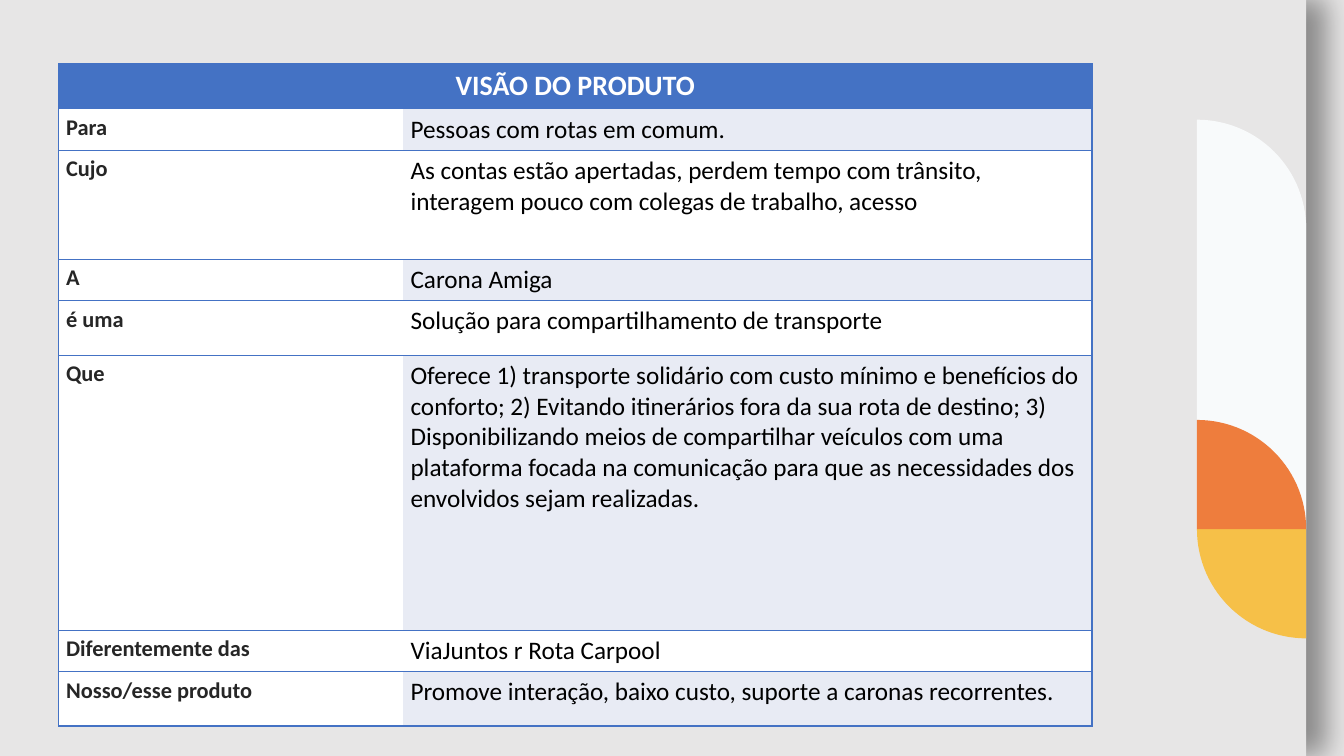
from math import cos, radians, sin

from lxml.etree import SubElement
from pptx import Presentation
from pptx.dml.color import RGBColor
from pptx.enum.shapes import MSO_SHAPE
from pptx.enum.text import PP_ALIGN
from pptx.oxml.ns import qn
from pptx.util import Pt

PX = 9525
FONT = "Calibri"
COLORS = {
    "background": "E7E6E6",
    "blue": "4472C4",
    "band": "E8EBF4",
    "white": "FFFFFF",
    "label": "262626",
    "black": "000000",
    "pale": "F8FAFB",
    "orange": "EE7D3D",
    "yellow": "F6C048",
}

HEADER = "VISÃO DO PRODUTO"
ROWS = [
    (39, "Para", "Pessoas com rotas em comum."),
    (104, "Cujo", "As contas estão apertadas, perdem tempo com trânsito, "
                  "interagem pouco com colegas de trabalho, acesso"),
    (39, "A", "Carona Amiga"),
    (52, "é uma", "Solução para compartilhamento de transporte"),
    (262, "Que", "Oferece 1) transporte solidário com custo mínimo e benefícios do "
                 "conforto; 2) Evitando itinerários fora da sua rota de destino; "
                 "3) Disponibilizando meios de compartilhar veículos com uma "
                 "plataforma focada na comunicação para que as necessidades dos "
                 "envolvidos sejam realizadas."),
    (39, "Diferentemente das", "ViaJuntos r Rota Carpool"),
    (52, "Nosso/esse produto", "Promove interação, baixo custo, suporte a caronas recorrentes."),
]


class SlideBuilder:
    def __init__(self, presentation):
        self.slide = presentation.slides.add_slide(presentation.slide_layouts[6])
        self.paint(self.slide.background.fill, "background")

    def paint(self, fill, color):
        fill.solid()
        fill.fore_color.rgb = RGBColor.from_string(COLORS[color])

    def finish(self, shape, color):
        self.paint(shape.fill, color)
        shape.line.fill.background()
        shape.shadow.inherit = False

    def panel(self, left, top, width, height):
        shape = self.slide.shapes.add_shape(
            MSO_SHAPE.RECTANGLE, left * PX, top * PX, width * PX, height * PX)
        self.finish(shape, "background")
        effects = shape._element.spPr.find(qn("a:effectLst"))
        shadow = SubElement(effects, qn("a:outerShdw"), blurRad=str(Pt(20)),
                            dist=str(Pt(15)), dir="0", algn="l", rotWithShape="0")
        shade = SubElement(shadow, qn("a:srgbClr"), val=COLORS["black"])
        SubElement(shade, qn("a:alpha"), val="40000")

    def rounded_piece(self, center, radius, start, corners, color):
        x, y = center
        arc = []
        for step in range(31):
            angle = radians(start + 3 * step)
            arc.append((round((x + radius * cos(angle)) * PX),
                        round((y + radius * sin(angle)) * PX)))
        outline = arc + [(left * PX, top * PX) for left, top in corners]
        builder = self.slide.shapes.build_freeform(*outline[0])
        builder.add_line_segments(outline[1:], close=True)
        self.finish(builder.convert_to_shape(), color)

    def cell(self, cell, text, size, color, fill, bold, edges, align=PP_ALIGN.LEFT):
        cell.margin_left = cell.margin_right = 7 * PX
        cell.margin_top = cell.margin_bottom = 5 * PX
        properties = cell._tc.get_or_add_tcPr()
        for edge in "LRTB":
            border = SubElement(properties, qn("a:ln" + edge), w=str(Pt(0.96)))
            if edge in edges:
                solid = SubElement(border, qn("a:solidFill"))
                SubElement(solid, qn("a:srgbClr"), val=COLORS["blue"])
            else:
                SubElement(border, qn("a:noFill"))
        self.paint(cell.fill, fill)
        if not text:
            return
        paragraph = cell.text_frame.paragraphs[0]
        paragraph.alignment = align
        run = paragraph.add_run()
        run.text = text
        run.font.name = FONT
        run.font.size = Pt(size)
        run.font.bold = bold
        run.font.color.rgb = RGBColor.from_string(COLORS[color])

    def vision_table(self, left, top, widths, header_height):
        heights = [header_height] + [row[0] for row in ROWS]
        table = self.slide.shapes.add_table(
            len(heights), len(widths), left * PX, top * PX,
            sum(widths) * PX, sum(heights) * PX).table
        table.first_row = table.horz_banding = False
        for column, width in zip(table.columns, widths):
            column.width = width * PX
        for row, height in zip(table.rows, heights):
            row.height = height * PX
        table.cell(0, 0).merge(table.cell(0, 1))
        self.cell(table.cell(0, 0), HEADER, 20, "white", "blue", True, "LRTB", PP_ALIGN.CENTER)
        self.cell(table.cell(0, 1), "", 20, "white", "blue", True, "RTB")
        for index, (_, label, description) in enumerate(ROWS, 1):
            band = "band" if index % 2 else "white"
            self.cell(table.cell(index, 0), label, 16, "label", "white", True, "LTB")
            self.cell(table.cell(index, 1), description, 18, "black", band, False, "RTB")


def main():
    presentation = Presentation()
    presentation.slide_width = 1280 * PX
    presentation.slide_height = 720 * PX
    builder = SlideBuilder(presentation)
    builder.panel(-36, 0, 1280, 720)

    left, right, radius, seam = 1140, 1244, 104, 504
    builder.rounded_piece((left, 218), radius, -90, [(right, seam), (left, seam)], "pale")
    builder.rounded_piece((right, seam), radius, 90, [(right, seam)], "yellow")
    builder.rounded_piece((left, seam), radius, -90, [(left, seam)], "orange")

    builder.vision_table(56, 61, [328, 656], 42)
    presentation.save("out.pptx")


if __name__ == "__main__":
    main()
